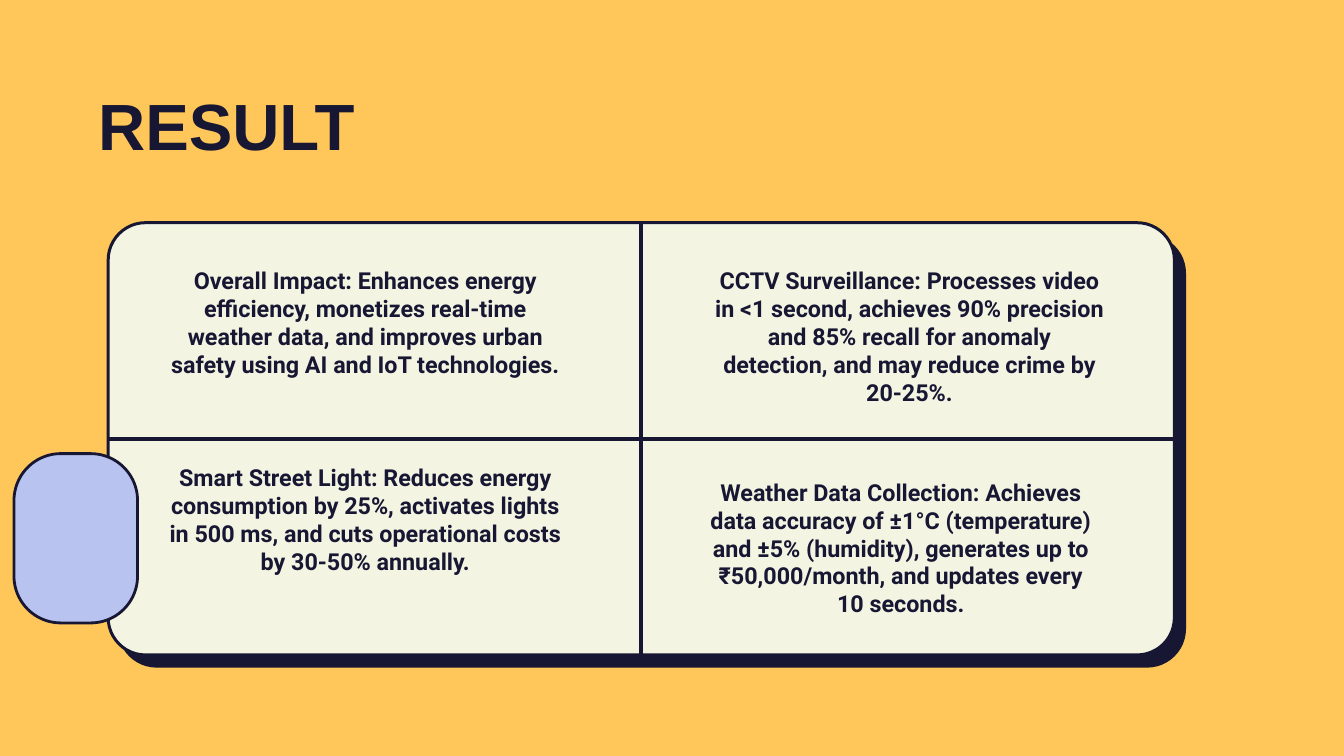
"""Build the RESULT slide: four findings in a divided panel."""
from pptx import Presentation
from pptx.dml.color import RGBColor
from pptx.enum.shapes import MSO_CONNECTOR, MSO_SHAPE
from pptx.enum.text import PP_ALIGN
from pptx.oxml.ns import qn
from pptx.util import Cm, Pt
from lxml.etree import SubElement

AMBER = RGBColor(0xFF, 0xC7, 0x59)
CREAM = RGBColor(0xF4, 0xF4, 0xE3)
NAVY = RGBColor(0x17, 0x17, 0x33)
LILAC = RGBColor(0xB9, 0xC3, 0xF0)


def add_rounded(s, x, y, w, h, radius, fill, line_width):
    sp = s.shapes.add_shape(MSO_SHAPE.ROUNDED_RECTANGLE, Cm(x), Cm(y), Cm(w), Cm(h))
    sp.adjustments[0] = radius / min(w, h)
    sp.shadow.inherit = False
    sp.fill.solid()
    sp.fill.fore_color.rgb = fill
    if line_width:
        sp.line.color.rgb = NAVY
        sp.line.width = Pt(line_width)
    else:
        sp.line.fill.background()
    return sp


def add_text(s, x, y, w, h, text, font, size, spacing, align):
    tf = s.shapes.add_textbox(Cm(x), Cm(y), Cm(w), Cm(h)).text_frame
    tf.word_wrap = True
    tf.margin_left = tf.margin_right = tf.margin_top = tf.margin_bottom = 0
    tf.text = text
    p = tf.paragraphs[0]
    p.alignment = align
    p.line_spacing = Pt(spacing)
    r = p.runs[0]
    r.font.name = font
    r.font.size = Pt(size)
    r.font.bold = True
    r.font.color.rgb = NAVY


prs = Presentation()
prs.slide_width, prs.slide_height = Cm(50.8), Cm(28.58)
s = prs.slides.add_slide(prs.slide_layouts[6])
s.background.fill.solid()
s.background.fill.fore_color.rgb = AMBER

add_rounded(s, 4.45, 8.86, 40.38, 16.38, 1.47, NAVY, 0)
panel = add_rounded(s, 4.09, 8.42, 40.3, 16.34, 1.41, CREAM, 3.2)

for begin, end in ((1, 3), (0, 2)):
    divider = s.shapes.add_connector(MSO_CONNECTOR.STRAIGHT, 0, 0, 0, 0)
    divider.begin_connect(panel, begin)
    divider.end_connect(panel, end)
    divider.line.color.rgb = NAVY
    divider.line.width = Pt(4.4)
    SubElement(divider.element.spPr, qn("a:effectLst"))

add_rounded(s, 0.53, 17.15, 4.67, 6.4, 1.77, LILAC, 3)

findings = [
    (6.4, 10.08, "Overall Impact: Enhances energy efficiency, monetizes real-time "
     "weather data, and improves urban safety using AI and IoT technologies."),
    (26.97, 10.08, "CCTV Surveillance: Processes video in <1 second, achieves 90% precision "
     "and 85% recall for anomaly detection, and may reduce crime by 20-25%."),
    (6.4, 17.5, "Smart Street Light: Reduces energy consumption by 25%, activates lights "
     "in 500 ms, and cuts operational costs by 30-50% annually."),
    (26.64, 18.06, "Weather Data Collection: Achieves data accuracy of ±1°C (temperature) "
     "and ±5% (humidity), generates up to ₹50,000/month, and updates every 10 seconds."),
]
for x, y, text in findings:
    add_text(s, x, y, 14.81, 5.16, text, "Roboto", 25, 30, PP_ALIGN.CENTER)

add_text(s, 3.71, 3.71, 26.47, 2.95, "RESULT", "Arial", 70, 70, PP_ALIGN.LEFT)

prs.save("out.pptx")
